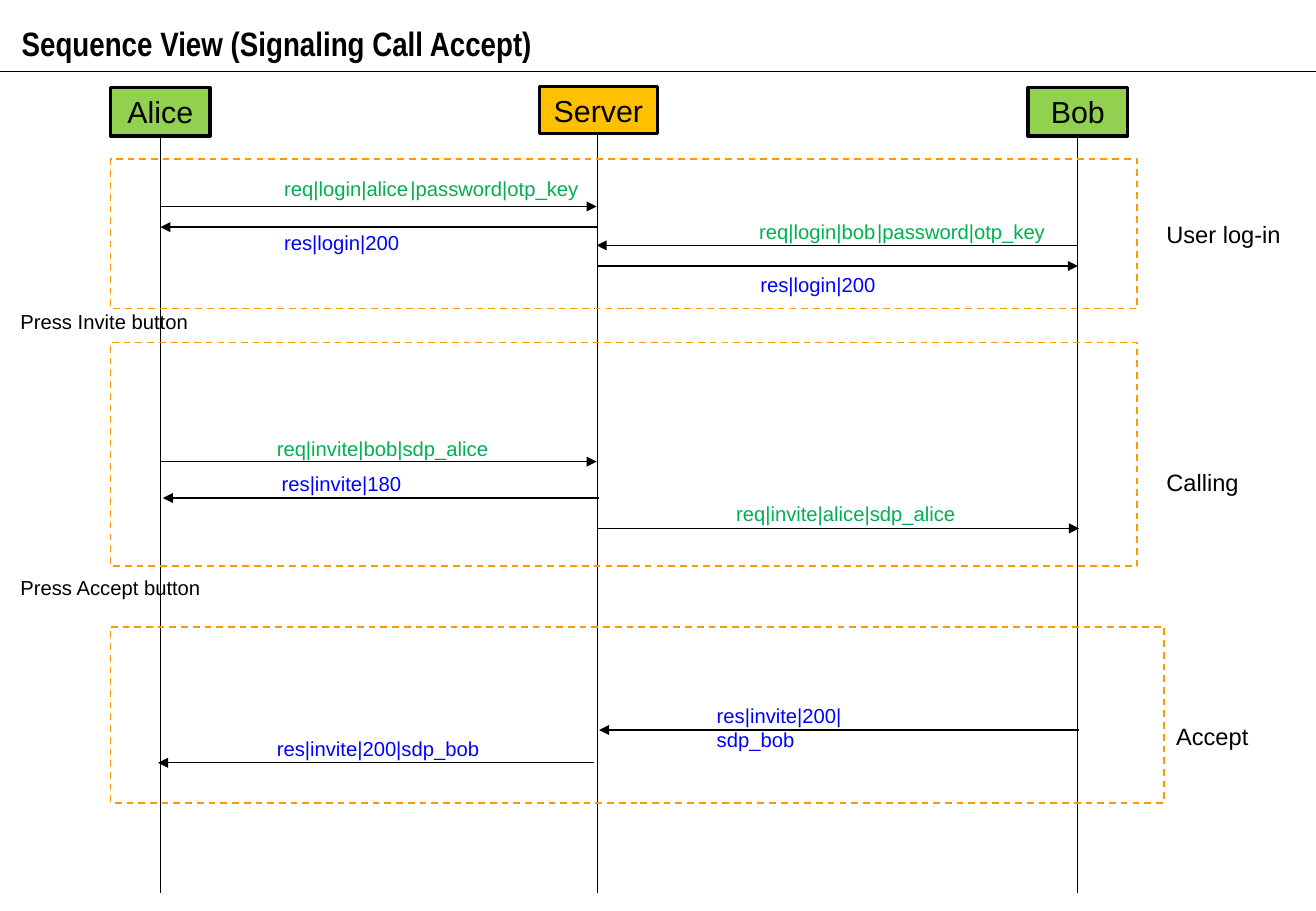
from lxml.etree import SubElement
from pptx import Presentation
from pptx.dml.color import RGBColor
from pptx.enum.dml import MSO_LINE
from pptx.enum.shapes import MSO_CONNECTOR, MSO_SHAPE
from pptx.enum.text import MSO_ANCHOR, PP_ALIGN
from pptx.oxml.ns import qn
from pptx.util import Pt

SCALE = 9144
BLACK = RGBColor(0x00, 0x00, 0x00)
LIME = RGBColor(0x92, 0xD0, 0x50)
AMBER = RGBColor(0xFF, 0xC0, 0x00)
ORANGE = RGBColor(0xFF, 0x99, 0x00)
GREEN = RGBColor(0x00, 0xB0, 0x50)
BLUE = RGBColor(0x00, 0x00, 0xFF)

ACTORS = [
    ("Alice", (91, 72, 82, 40), LIME),
    ("Server", (444, 71, 97, 39), AMBER),
    ("Bob", (846, 72, 82, 40), LIME),
]
PHASES = [
    ("User log-in", (91, 131, 845, 123), (859, 45, 120, 34),
     [(41, 400, 39), (400, 41, 56), (796, 400, 71), (400, 796, 88)],
     [("req|login|alice", (133, 9, 126, 30), GREEN),
      ("|password|otp_key", (237, 9, 170, 30), GREEN),
      ("res|login|200", (133, 54, 120, 30), BLUE),
      ("req|login|bob", (524, 45, 120, 30), GREEN),
      ("|password|otp_key", (621, 45, 170, 30), GREEN),
      ("res|login|200", (525, 88, 120, 30), BLUE)]),
    ("Calling", (91, 282, 845, 184), (859, 98, 85, 34),
     [(41, 400, 98), (402, 43, 128), (401, 797, 153)],
     [("req|invite|bob|sdp_alice", (127, 72, 200, 30), GREEN),
      ("res|invite|180", (131, 101, 124, 30), BLUE),
      ("req|invite|alice|sdp_alice", (505, 126, 207, 30), GREEN)]),
    ("Accept", (91, 516, 867, 145), (867, 73, 85, 34),
     [(797, 402, 85), (398, 39, 112)],
     [("res|invite|200|sdp_bob", (489, 58, 168, 50), BLUE),
      ("res|invite|200|sdp_bob", (127, 85, 193, 30), BLUE)]),
]
CUES = [
    ("Press Invite button", (7, 250, 180, 30)),
    ("Press Accept button", (7, 469, 190, 30)),
]


def emu(*sizes):
    """Turn px lengths into EMU."""
    return [size * SCALE for size in sizes]


def style(frame, text, size, color, font="Arial", bold=False):
    """Fill a text frame with one styled paragraph."""
    frame.text = text
    frame.word_wrap = True
    face = frame.paragraphs[0].runs[0].font
    face.name, face.size, face.bold = font, Pt(size), bold
    face.color.rgb = color


def label(slide, text, box, size=12, color=BLACK, **look):
    """Add a text box and return its frame."""
    frame = slide.shapes.add_textbox(*emu(*box)).text_frame
    style(frame, text, size, color, **look)
    return frame


def frame_box(slide, box, color, width):
    """Add an outlined rectangle without fill."""
    shape = slide.shapes.add_shape(MSO_SHAPE.RECTANGLE, *emu(*box))
    shape.shadow.inherit = False
    shape.fill.background()
    shape.line.color.rgb = color
    shape.line.width = Pt(width)
    return shape


def rule(slide, ends, arrow=False):
    """Draw a thin black line, with an arrowhead if asked."""
    line = slide.shapes.add_connector(MSO_CONNECTOR.STRAIGHT, *emu(*ends))
    line.line.color.rgb = BLACK
    line.line.width = Pt(0.75)
    props = line._element.spPr
    if arrow:
        SubElement(props.find(qn("a:ln")), qn("a:tailEnd"), type="triangle")
    SubElement(props, qn("a:effectLst"))


def title(slide, box):
    """Draw the heading and the rule below it."""
    left, top, width, height = box
    frame = label(slide, "Sequence View (Signaling Call Accept)",
                  (left + 8, top + 7, 781, 50), 20,
                  font="Arial Narrow", bold=True)
    frame.paragraphs[0].line_spacing = 1.2
    rule(slide, (left, top + height, left + width, top + height))


def actor(slide, name, box, color):
    """Draw an actor box with its lifeline."""
    left, top, width, height = box
    mid = left + width // 2
    rule(slide, (mid, top + height, mid, 735))
    shape = frame_box(slide, box, BLACK, 2)
    shape.fill.solid()
    shape.fill.fore_color.rgb = color
    style(shape.text_frame, name, 18, BLACK)
    shape.text_frame.vertical_anchor = MSO_ANCHOR.MIDDLE
    shape.text_frame.paragraphs[0].alignment = PP_ALIGN.CENTER


def phase(slide, name, box, spot, arrows, notes):
    """Draw a dashed phase box with its messages and name."""
    left, top = box[:2]

    def place(x, y, width, height):
        """Shift a box into the phase."""
        return left + x, top + y, width, height

    frame_box(slide, box, ORANGE, 1).line.dash_style = MSO_LINE.DASH
    for start, end, y in arrows:
        rule(slide, (left + start, top + y, left + end, top + y), True)
    for text, area, color in notes:
        label(slide, text, place(*area), color=color)
    label(slide, name, place(*spot), 14)


def main():
    """Build the slide and save it."""
    deck = Presentation()
    deck.slide_width, deck.slide_height = emu(1083, 750)
    slide = deck.slides.add_slide(deck.slide_layouts[6])
    title(slide, (0, 0, 1083, 59))
    for item in ACTORS:
        actor(slide, *item)
    for item in PHASES:
        phase(slide, *item)
    for text, box in CUES:
        label(slide, text, box)
    deck.save("out.pptx")


if __name__ == "__main__":
    main()
